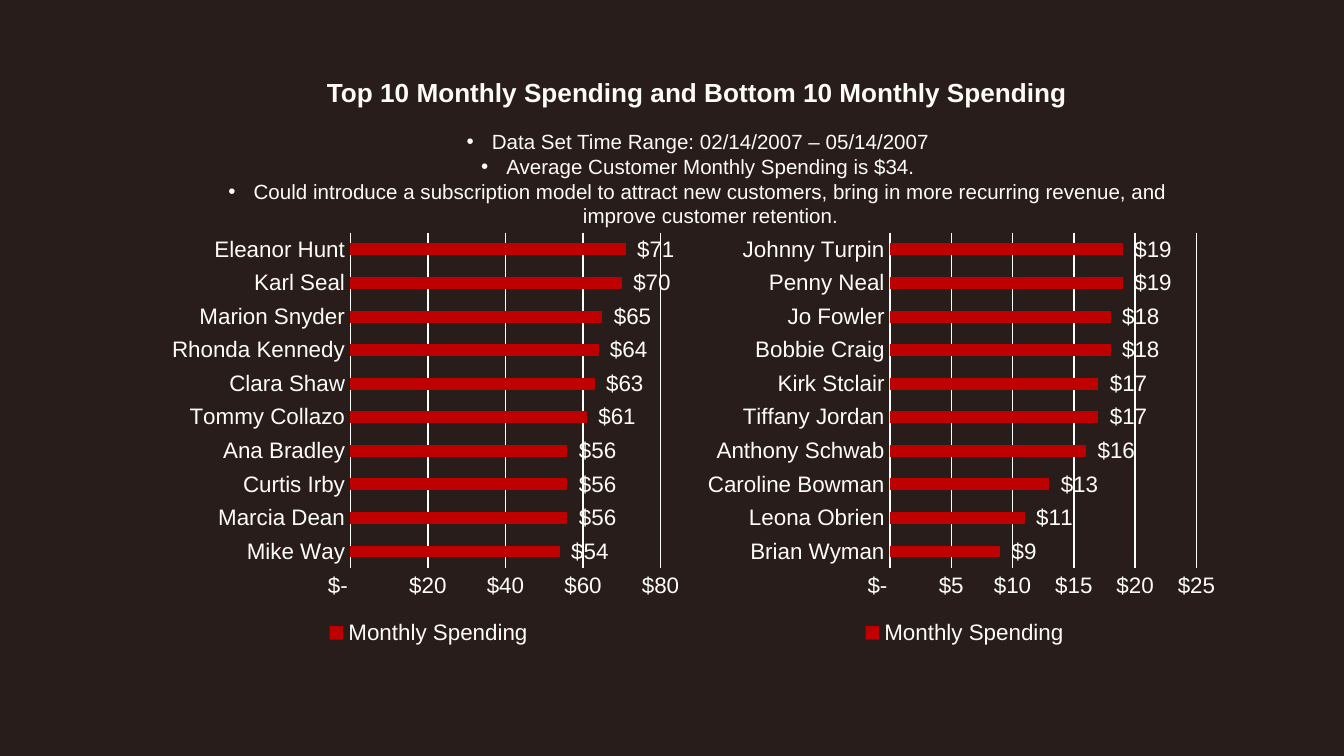
from lxml.etree import SubElement
from pptx import Presentation
from pptx.chart.data import CategoryChartData
from pptx.dml.color import RGBColor
from pptx.enum.chart import XL_CHART_TYPE, XL_LABEL_POSITION, XL_LEGEND_POSITION, XL_TICK_MARK
from pptx.enum.text import MSO_ANCHOR, MSO_AUTO_SIZE, PP_ALIGN
from pptx.oxml.ns import qn
from pptx.util import Pt

PX = 5715
FONT = "Arial"
BACKGROUND = RGBColor(0x28, 0x1D, 0x1B)
CREAM = RGBColor(0xFE, 0xFC, 0xF6)
CHART_TEXT = RGBColor(0xFE, 0xFD, 0xF9)
LABEL_TEXT = RGBColor(0xFE, 0xFD, 0xF8)
LINE = RGBColor(0xFF, 0xFF, 0xFE)
RED = RGBColor(0xBF, 0x00, 0x00)
DOLLARS = r'_("$"* #,##0_);_("$"* \(#,##0\);_("$"* "-"??_);_(@_)'

TOP_SPENDERS = {
    "Mike Way": 54, "Marcia Dean": 56, "Curtis Irby": 56, "Ana Bradley": 56,
    "Tommy Collazo": 61, "Clara Shaw": 63, "Rhonda Kennedy": 64,
    "Marion Snyder": 65, "Karl Seal": 70, "Eleanor Hunt": 71,
}
BOTTOM_SPENDERS = {
    "Brian Wyman": 9, "Leona Obrien": 11, "Caroline Bowman": 13,
    "Anthony Schwab": 16, "Tiffany Jordan": 17, "Kirk Stclair": 17,
    "Bobbie Craig": 18, "Jo Fowler": 18, "Penny Neal": 19, "Johnny Turpin": 19,
}
FINDINGS = [
    "Data Set Time Range: 02/14/2007 – 05/14/2007",
    "Average Customer Monthly Spending is $34.",
    "Could introduce a subscription model to attract new customers, "
    "bring in more recurring revenue, and improve customer retention.",
]


class SlideBuilder:
    def __init__(self, page):
        self.page = page
        fill = page.background.fill
        fill.solid()
        fill.fore_color.rgb = BACKGROUND

    def style_font(self, font, size, color, bold=False):
        font.name = FONT
        font.size = Pt(size)
        font.bold = bold
        font.color.rgb = color

    def style_line(self, line):
        line.color.rgb = LINE
        line.width = Pt(0.75)

    def placeholder(self, box, bounds, lines, size, bold=False, bullets=False):
        box.left, box.top, box.width, box.height = (value * PX for value in bounds)
        frame = box.text_frame
        frame.word_wrap = True
        frame.auto_size = MSO_AUTO_SIZE.NONE
        frame.vertical_anchor = MSO_ANCHOR.TOP
        frame.margin_left = frame.margin_right = 16 * PX
        frame.margin_top = frame.margin_bottom = 16 * PX
        for index, line in enumerate(lines):
            para = frame.add_paragraph() if index else frame.paragraphs[0]
            para.alignment = PP_ALIGN.CENTER
            para.line_spacing = 1.0
            para.space_before = para.space_after = Pt(0)
            if bullets:
                self.bullet(para)
            span = para.add_run()
            span.text = line
            self.style_font(span.font, size, CREAM, bold)

    def bullet(self, para):
        properties = para._p.get_or_add_pPr()
        properties.set("marL", str(30 * PX))
        properties.set("indent", str(-30 * PX))
        color = SubElement(properties, qn("a:buClr"))
        SubElement(color, qn("a:srgbClr"), val=str(CREAM))
        SubElement(properties, qn("a:buFont"), typeface=FONT)
        SubElement(properties, qn("a:buChar"), char="•")

    def bar_chart(self, bounds, spending, maximum, step):
        data = CategoryChartData(number_format=DOLLARS)
        data.categories = list(spending)
        data.add_series("Monthly Spending", list(spending.values()))
        chart = self.page.shapes.add_chart(
            XL_CHART_TYPE.BAR_CLUSTERED, *(value * PX for value in bounds), data
        ).chart
        chart.has_title = False
        self.style_font(chart.font, 10, CREAM)

        chart.has_legend = True
        chart.legend.position = XL_LEGEND_POSITION.BOTTOM
        chart.legend.include_in_layout = False
        self.style_font(chart.legend.font, 12, CHART_TEXT)

        names, amounts = chart.category_axis, chart.value_axis
        for axis in (names, amounts):
            axis.major_tick_mark = axis.minor_tick_mark = XL_TICK_MARK.NONE
            self.style_font(axis.tick_labels.font, 12, CHART_TEXT)
        names.has_major_gridlines = False
        self.style_line(names.format.line)
        amounts.minimum_scale = 0
        amounts.maximum_scale = maximum
        amounts.major_unit = step
        amounts.format.line.fill.background()
        amounts.has_major_gridlines = True
        self.style_line(amounts.major_gridlines.format.line)
        amounts.tick_labels.number_format = DOLLARS
        amounts.tick_labels.number_format_is_linked = False

        plot = chart.plots[0]
        plot.gap_width = 182
        plot.vary_by_categories = False
        series = plot.series[0]
        series.format.fill.solid()
        series.format.fill.fore_color.rgb = RED
        labels = series.data_labels
        labels.show_value = True
        labels.position = XL_LABEL_POSITION.OUTSIDE_END
        labels.number_format = DOLLARS
        labels.number_format_is_linked = False
        self.style_font(labels.font, 12, LABEL_TEXT)


def main():
    deck = Presentation()
    deck.slide_width, deck.slide_height = 1600 * PX, 900 * PX
    page = deck.slides.add_slide(deck.slide_layouts[1])
    builder = SlideBuilder(page)
    title, body = page.placeholders
    builder.placeholder(
        title, (293, 75, 1074, 101),
        ["Top 10 Monthly Spending and Bottom 10 Monthly Spending"], 14, bold=True,
    )
    builder.placeholder(body, (218, 138, 1226, 146), FINDINGS, 11, bullets=True)
    builder.bar_chart((192, 267, 637, 507), TOP_SPENDERS, 80, 20)
    builder.bar_chart((830, 267, 637, 507), BOTTOM_SPENDERS, 25, 5)
    deck.save("out.pptx")


if __name__ == "__main__":
    main()
